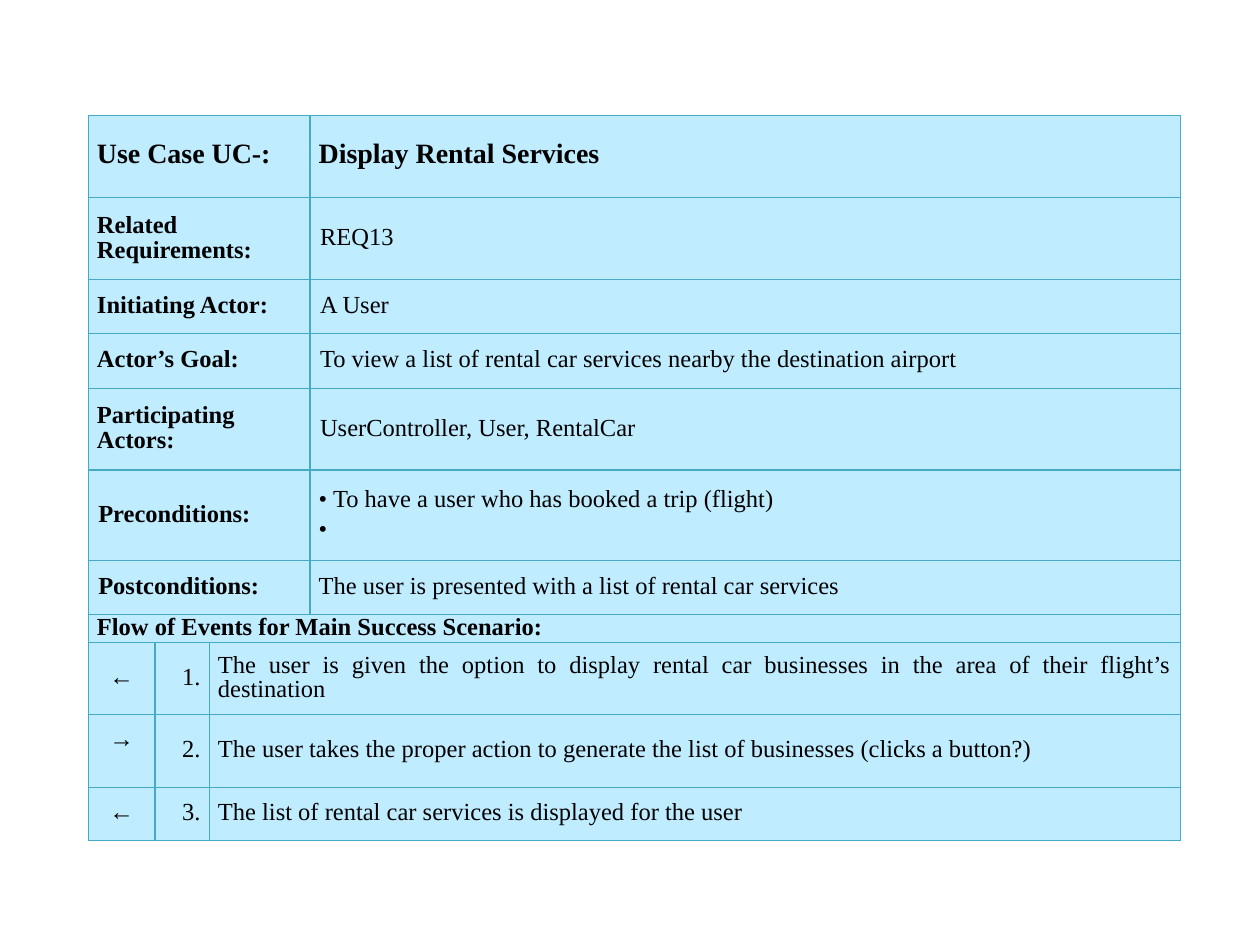
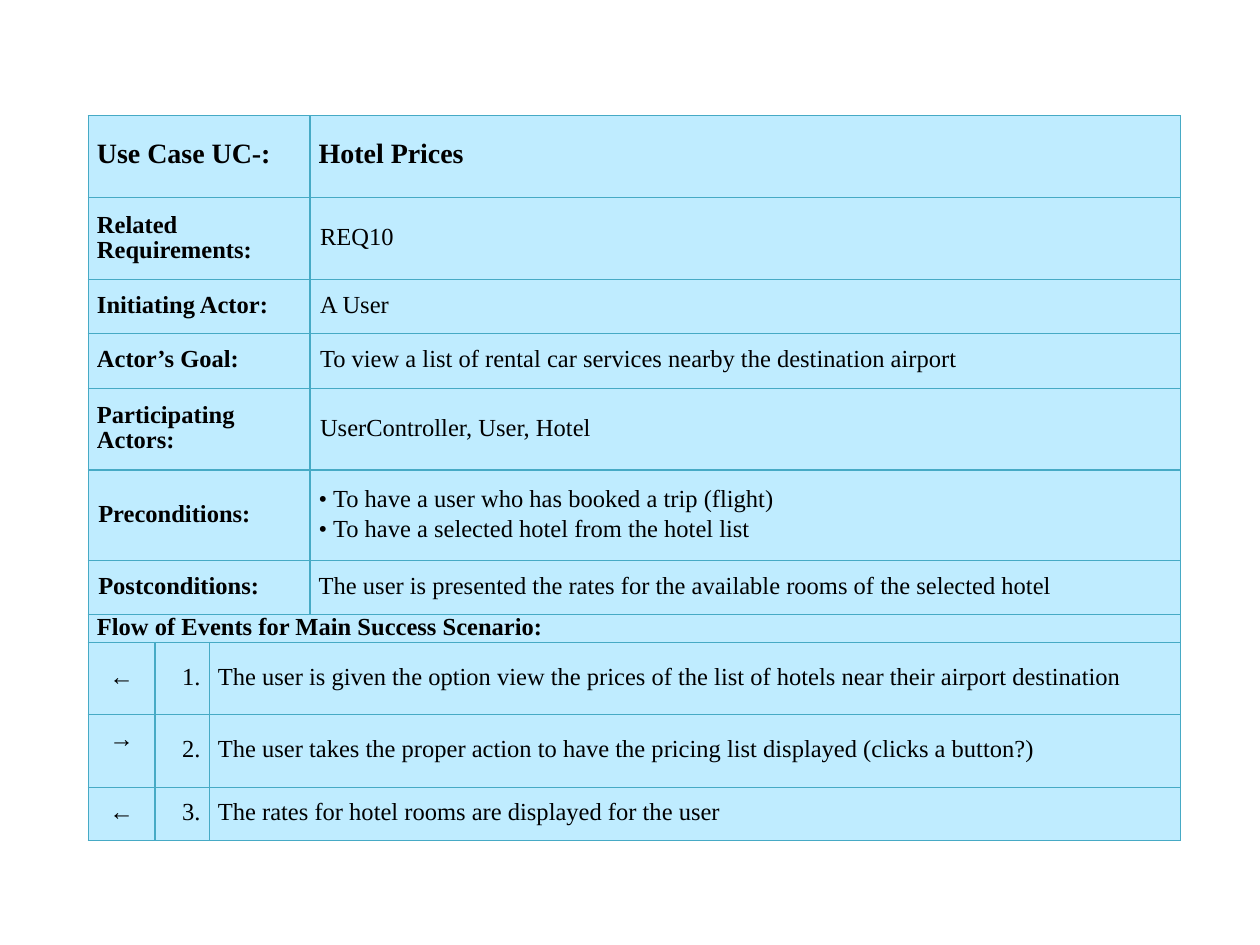
"""Build two use-case description slides."""
from dataclasses import dataclass

from lxml import etree
from pptx import Presentation
from pptx.dml.color import RGBColor
from pptx.enum.text import MSO_ANCHOR, PP_ALIGN
from pptx.oxml.ns import qn
from pptx.util import Inches, Pt

LEFT, CENTER, RIGHT, JUSTIFY = (
    PP_ALIGN.LEFT, PP_ALIGN.CENTER, PP_ALIGN.RIGHT, PP_ALIGN.JUSTIFY)
MIDDLE = MSO_ANCHOR.MIDDLE


@dataclass(frozen=True)
class Theme:
    """Colours and type sizes shared by both slides."""
    font: str = "Times New Roman"
    text: str = "000000"
    fill: str = "BFECFF"
    border: str = "46AAC5"
    border_pt: float = 0.75
    heading_pt: int = 16
    body_pt: int = 14
    line_pt: int = 14


@dataclass(frozen=True)
class CellStyle:
    """Text format and side margins of one kind of cell."""
    bold: bool = False
    size: int = 14
    align: PP_ALIGN = JUSTIFY
    before: int = 0
    left: float = 0.07
    right: float = 0.07
    bottom: float = 0


@dataclass(frozen=True)
class UseCase:
    """Wording of one use case."""
    name: str
    requirement: str
    actors: str
    preconditions: tuple[str, ...]
    postcondition: str
    steps: tuple[str, str, str]


THEME = Theme()
TABLE_LEFT, TABLE_TOP = 0.7, 0.92
COLS = (0.53, 0.43, 0.8, 6.91)
ROWS = (0.65, 0.65, 0.43, 0.43, 0.65, 0.72, 0.43, 0.22, 0.57, 0.58, 0.42)
VALUE_COL = len(COLS) - 1

HEADING = CellStyle(bold=True, size=THEME.heading_pt, align=LEFT, before=6)
LABEL = CellStyle(bold=True, before=3)
CONDITION_LABEL = CellStyle(bold=True, before=3, left=0.08, right=0.02)
VALUE = CellStyle(before=3, left=0.08, right=0.04)
CONDITION = CellStyle(before=3)
FLOW = CellStyle(bold=True, before=4)
ARROW = CellStyle(align=CENTER)
RAISED_ARROW = CellStyle(align=CENTER, bottom=0.16)
NUMBER = CellStyle(align=RIGHT)
STEP = CellStyle()
STEP_ARROWS = (("←", ARROW), ("→", RAISED_ARROW), ("←", ARROW))

GOAL = "To view a list of rental car services nearby the destination airport"
USE_CASES = (
    UseCase(
        "Display Rental Services", "REQ13", "UserController, User, RentalCar",
        ("• To have a user who has booked a trip (flight)", "•"),
        "The user is presented with a list of rental car services",
        ("The user is given the option to display rental car businesses "
         "in the area of their flight’s destination",
         "The user takes the proper action to generate the list of "
         "businesses (clicks a button?)",
         "The list of rental car services is displayed for the user")),
    UseCase(
        "Hotel Prices", "REQ10", "UserController, User, Hotel",
        ("• To have a user who has booked a trip (flight)",
         "• To have a selected hotel from the hotel list"),
        "The user is presented the rates for the available rooms of the "
        "selected hotel",
        ("The user is given the option view the prices of the list of hotels "
         "near their airport destination",
         "The user takes the proper action to have the pricing list "
         "displayed (clicks a button?)",
         "The rates for hotel rooms are displayed for the user")),
)


def paint_cell(cell) -> None:
    """Fill a cell and give it four borders."""
    cell.margin_left = cell.margin_right = Inches(0.07)
    cell.margin_top = cell.margin_bottom = 0
    cell.fill.solid()
    cell.fill.fore_color.rgb = RGBColor.from_string(THEME.fill)
    tc_pr = cell._tc.get_or_add_tcPr()
    for i, side in enumerate(("a:lnL", "a:lnR", "a:lnT", "a:lnB")):
        ln = etree.Element(qn(side), w=str(int(Pt(THEME.border_pt))))
        solid = etree.SubElement(ln, qn("a:solidFill"))
        etree.SubElement(solid, qn("a:srgbClr"), val=THEME.border)
        tc_pr.insert(i, ln)


def write_cell(cell, style: CellStyle, *lines: str) -> None:
    """Write one paragraph per line in the given style."""
    cell.vertical_anchor = MIDDLE
    cell.margin_left, cell.margin_right = Inches(style.left), Inches(style.right)
    cell.margin_bottom = Inches(style.bottom)
    tf = cell.text_frame
    for i, line in enumerate(lines):
        p = tf.add_paragraph() if i else tf.paragraphs[0]
        p.alignment = style.align
        p.line_spacing = Pt(THEME.line_pt)
        p.space_before = Pt(style.before)
        r = p.add_run()
        r.text = line
        r.font.name = THEME.font
        r.font.size = Pt(style.size)
        r.font.bold = style.bold
        r.font.color.rgb = RGBColor.from_string(THEME.text)


def add_grid(s):
    """Add the empty, painted table to a slide."""
    table = s.shapes.add_table(
        len(ROWS), len(COLS), Inches(TABLE_LEFT), Inches(TABLE_TOP),
        Inches(sum(COLS)), Inches(sum(ROWS))).table
    table.first_row = table.horz_banding = False
    for col, width in zip(table.columns, COLS):
        col.width = Inches(width)
    for row, height in zip(table.rows, ROWS):
        row.height = Inches(height)
        for cell in row.cells:
            paint_cell(cell)
    return table


def add_use_case(prs, case: UseCase) -> None:
    """Add a slide with the table of one use case."""
    s = prs.slides.add_slide(prs.slide_layouts[6])
    table = add_grid(s)
    fields = (
        ("Use Case UC-:", HEADING, HEADING, (case.name,)),
        ("Related Requirements:", LABEL, VALUE, (case.requirement,)),
        ("Initiating Actor:", LABEL, VALUE, ("A User",)),
        ("Actor’s Goal:", LABEL, VALUE, (GOAL,)),
        ("Participating Actors:", LABEL, VALUE, (case.actors,)),
        ("Preconditions:", CONDITION_LABEL, CONDITION, case.preconditions),
        ("Postconditions:", CONDITION_LABEL, CONDITION, (case.postcondition,)),
    )
    for row, (label, label_style, value_style, lines) in enumerate(fields):
        table.cell(row, 0).merge(table.cell(row, VALUE_COL - 1))
        write_cell(table.cell(row, 0), label_style, label)
        write_cell(table.cell(row, VALUE_COL), value_style, *lines)

    flow_row = len(fields)
    table.cell(flow_row, 0).merge(table.cell(flow_row, VALUE_COL))
    write_cell(table.cell(flow_row, 0), FLOW,
               "Flow of Events for Main Success Scenario:")

    for n, (step, (arrow, arrow_style)) in enumerate(
            zip(case.steps, STEP_ARROWS), start=1):
        row = flow_row + n
        table.cell(row, 2).merge(table.cell(row, VALUE_COL))
        write_cell(table.cell(row, 0), arrow_style, arrow)
        write_cell(table.cell(row, 1), NUMBER, f"{n}.")
        write_cell(table.cell(row, 2), STEP, step)


def main() -> None:
    """Build and save the presentation."""
    prs = Presentation()
    prs.slide_width, prs.slide_height = Inches(10), Inches(7.5)
    for case in USE_CASES:
        add_use_case(prs, case)
    prs.save("out.pptx")


main()
